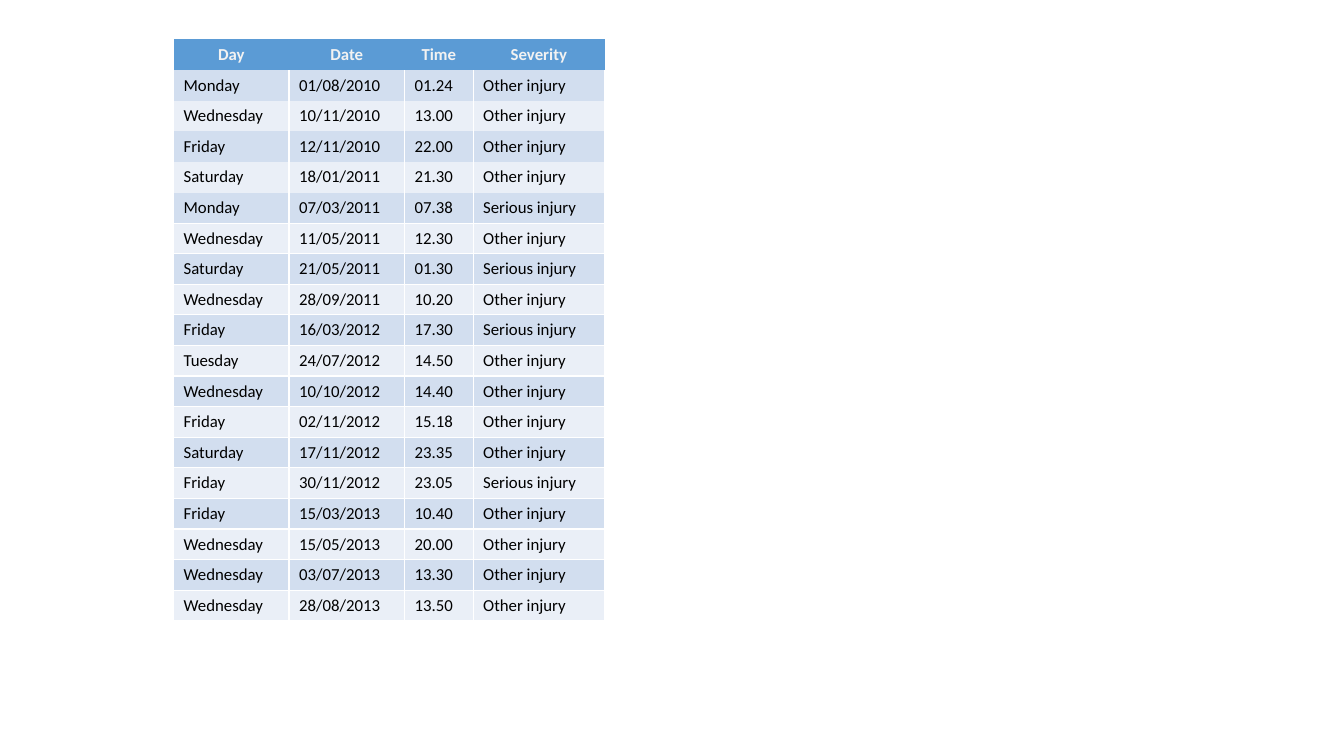
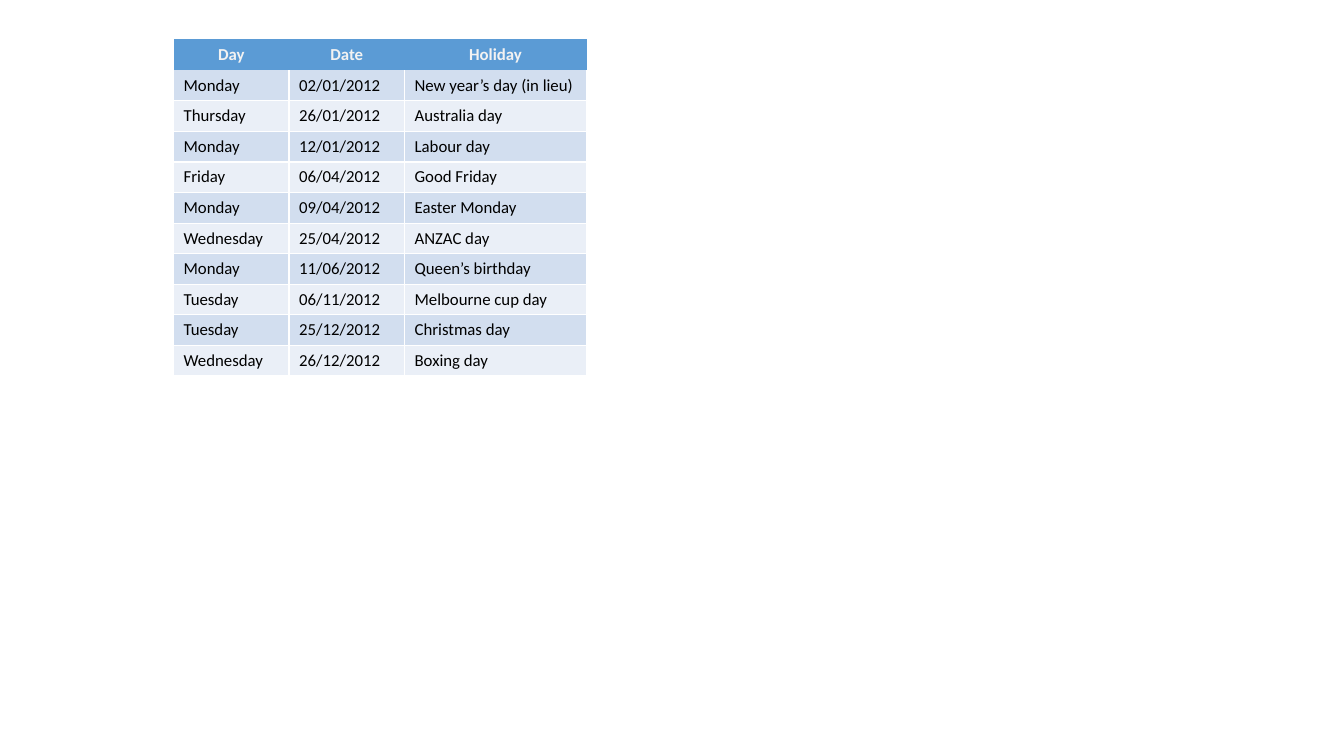
import pptx
import pptx.dml.color
import pptx.enum.text
import pptx.oxml
import pptx.oxml.ns
import pptx.util
from dataclasses import dataclass

Pt = pptx.util.Pt


@dataclass(frozen=True)
class Theme:
    font: str = "Calibri"
    text_size: float = 12
    header_fill: str = "5B9BD5"
    header_text: str = "F2F2F2"
    body_text: str = "000000"
    bands: tuple = ("D2DEEF", "EAEFF7")
    border: str = "FFFFFF"
    border_width: float = 1
    table_left: float = 124
    table_top: float = 28
    header_height: float = 22.1
    row_height: float = 21.6


theme = Theme()


def color(value):
    return pptx.dml.color.RGBColor.from_string(value)


def set_borders(cell, drawn_edges):
    properties = cell._tc.get_or_add_tcPr()
    for edge in "LRTB":
        if edge in drawn_edges:
            paint = f'<a:solidFill><a:srgbClr val="{theme.border}"/></a:solidFill>'
        else:
            paint = "<a:noFill/>"
        properties.append(pptx.oxml.parse_xml(
            f'<a:ln{edge} {pptx.oxml.ns.nsdecls("a")} w="{Pt(theme.border_width)}">{paint}</a:ln{edge}>'
        ))


injuries = [
    ("Day", "Date", "Time", "Severity"),
    ("Monday", "01/08/2010", "01.24", "Other injury"),
    ("Wednesday", "10/11/2010", "13.00", "Other injury"),
    ("Friday", "12/11/2010", "22.00", "Other injury"),
    ("Saturday", "18/01/2011", "21.30", "Other injury"),
    ("Monday", "07/03/2011", "07.38", "Serious injury"),
    ("Wednesday", "11/05/2011", "12.30", "Other injury"),
    ("Saturday", "21/05/2011", "01.30", "Serious injury"),
    ("Wednesday", "28/09/2011", "10.20", "Other injury"),
    ("Friday", "16/03/2012", "17.30", "Serious injury"),
    ("Tuesday", "24/07/2012", "14.50", "Other injury"),
    ("Wednesday", "10/10/2012", "14.40", "Other injury"),
    ("Friday", "02/11/2012", "15.18", "Other injury"),
    ("Saturday", "17/11/2012", "23.35", "Other injury"),
    ("Friday", "30/11/2012", "23.05", "Serious injury"),
    ("Friday", "15/03/2013", "10.40", "Other injury"),
    ("Wednesday", "15/05/2013", "20.00", "Other injury"),
    ("Wednesday", "03/07/2013", "13.30", "Other injury"),
    ("Wednesday", "28/08/2013", "13.50", "Other injury"),
]
holidays = [
    ("Day", "Date", "Holiday"),
    ("Monday", "02/01/2012", "New year’s day (in lieu)"),
    ("Thursday", "26/01/2012", "Australia day"),
    ("Monday", "12/01/2012", "Labour day"),
    ("Friday", "06/04/2012", "Good Friday"),
    ("Monday", "09/04/2012", "Easter Monday"),
    ("Wednesday", "25/04/2012", "ANZAC day"),
    ("Monday", "11/06/2012", "Queen’s birthday"),
    ("Tuesday", "06/11/2012", "Melbourne cup day"),
    ("Tuesday", "25/12/2012", "Christmas day"),
    ("Wednesday", "26/12/2012", "Boxing day"),
]
tables = [
    (injuries, (82.5, 82.5, 49, 94), 5),
    (holidays, (82.5, 82.5, 130), 1),
]

presentation = pptx.Presentation()
presentation.slide_width = Pt(960)
presentation.slide_height = Pt(540)

for records, column_widths, first_ruled_row in tables:
    slide = presentation.slides.add_slide(presentation.slide_layouts[6])
    table_height = theme.header_height + theme.row_height * (len(records) - 1)
    table = slide.shapes.add_table(
        len(records), len(column_widths),
        Pt(theme.table_left), Pt(theme.table_top),
        Pt(sum(column_widths)), Pt(table_height),
    ).table
    table.horz_banding = False
    for column, width in zip(table.columns, column_widths):
        column.width = Pt(width)

    for row_index, record in enumerate(records):
        is_header = row_index == 0
        table.rows[row_index].height = Pt(theme.header_height if is_header else theme.row_height)
        if is_header:
            edges, fill, text_color = "", theme.header_fill, theme.header_text
        else:
            edges = "LR"
            if row_index > first_ruled_row:
                edges += "T"
            if row_index >= first_ruled_row:
                edges += "B"
            fill = theme.bands[(row_index - 1) % 2]
            text_color = theme.body_text

        for column_index, text in enumerate(record):
            cell = table.cell(row_index, column_index)
            set_borders(cell, edges)
            cell.fill.solid()
            cell.fill.fore_color.rgb = color(fill)
            cell.text = text
            paragraph = cell.text_frame.paragraphs[0]
            if is_header:
                paragraph.alignment = pptx.enum.text.PP_ALIGN.CENTER
            paragraph.font.name = theme.font
            paragraph.font.size = Pt(theme.text_size)
            paragraph.font.bold = is_header
            paragraph.font.color.rgb = color(text_color)

presentation.save("out.pptx")
